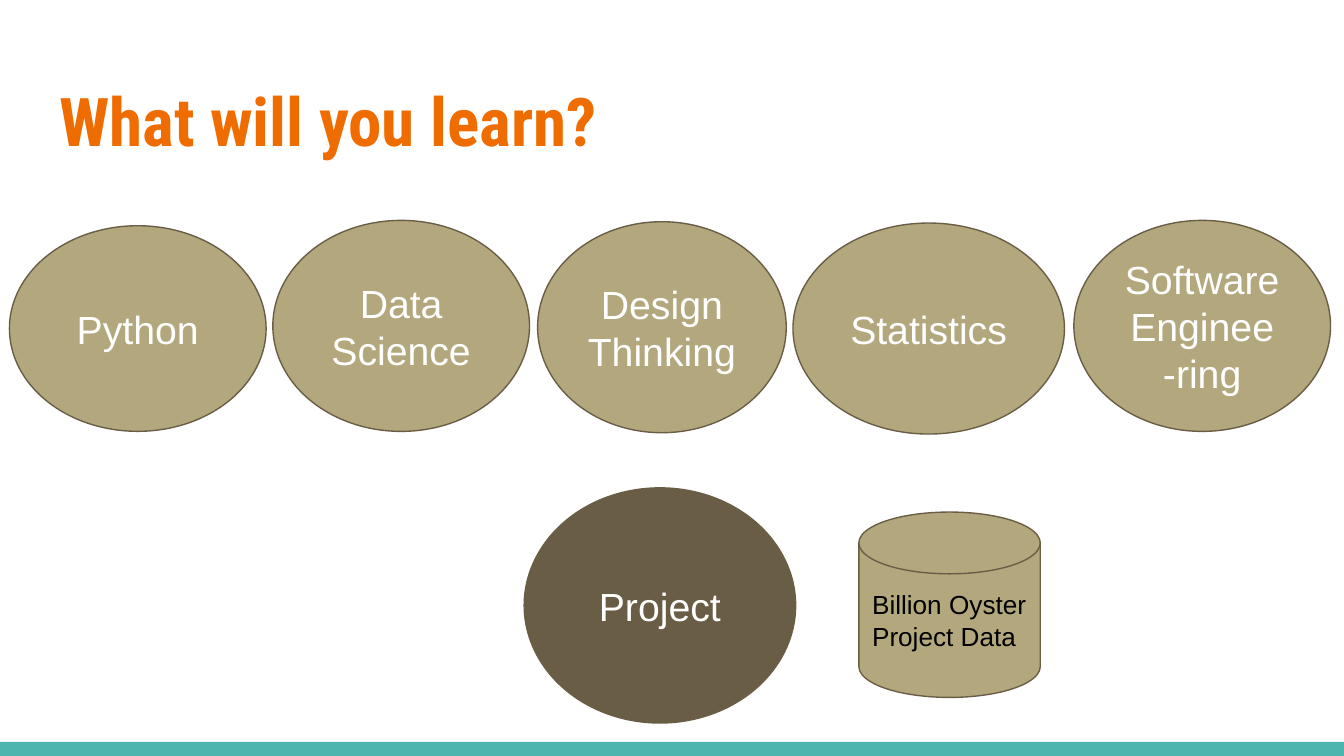
"""Build the "What will you learn?" slide: five topics, a project and its data."""
from pptx import Presentation
from pptx.dml.color import RGBColor
from pptx.enum import shapes, text
from pptx.util import Inches, Pt

ORANGE = RGBColor(0xEF, 0x6C, 0x00)
TEAL = RGBColor(0x4D, 0xB6, 0xAC)
SAND = RGBColor(0xB3, 0xA7, 0x7D)
BROWN = RGBColor(0x69, 0x5D, 0x46)
WHITE = RGBColor(0xFF, 0xFF, 0xFF)
BLACK = RGBColor(0, 0, 0)
KIND = shapes.MSO_SHAPE
ALIGN = text.PP_ALIGN
ANCHOR = text.MSO_ANCHOR


def write(shape, words, size=21, color=WHITE, font="Arial", bold=False,
          align=ALIGN.CENTER, anchor=ANCHOR.MIDDLE):
    frame = shape.text_frame
    frame.word_wrap = True
    frame.auto_size = text.MSO_AUTO_SIZE.NONE
    frame.vertical_anchor = anchor
    frame.margin_left = frame.margin_right = Inches(0.1)
    frame.margin_top = frame.margin_bottom = Inches(0.1)
    frame.text = words
    para = frame.paragraphs[0]
    para.alignment = align
    para.font.size = Pt(size)
    para.font.name = font
    para.font.bold = bold
    para.font.color.rgb = color


def draw(kind, box, fill, line=BROWN):
    shape = slide.shapes.add_shape(kind, *map(Inches, box))
    shape.shadow.inherit = False
    shape.fill.solid()
    shape.fill.fore_color.rgb = fill
    if line is None:
        shape.line.fill.background()
    else:
        shape.line.color.rgb = line
        shape.line.width = Pt(0.75)
    return shape


deck = Presentation()
deck.slide_width = Inches(10)
deck.slide_height = Inches(10 * 9 / 16)
slide = deck.slides.add_slide(deck.slide_layouts[5])

draw(KIND.RECTANGLE, (0, 5.52, 10, 0.11), TEAL, line=None)

title = slide.shapes.title
title.left, title.top = Inches(0.34), Inches(0.49)
title.width, title.height = Inches(9.32), Inches(0.77)
write(title, "What will you learn?", size=36, color=ORANGE, font="Roboto Condensed",
      bold=True, align=ALIGN.LEFT, anchor=ANCHOR.TOP)

topics = [
    ("Python", (0.07, 1.68, 1.91, 1.53), SAND),
    ("Data Science", (2.03, 1.64, 1.91, 1.57), SAND),
    ("Project", (3.9, 3.63, 2.02, 1.75), BROWN),
    ("Design Thinking", (4, 1.65, 1.85, 1.57), SAND),
    ("Statistics", (5.9, 1.66, 2.02, 1.57), SAND),
    ("Software Enginee-ring", (7.99, 1.64, 1.91, 1.57), SAND),
]
for name, box, fill in topics:
    write(draw(KIND.OVAL, box, fill), name)

data = draw(KIND.FLOWCHART_MAGNETIC_DISK, (6.39, 3.81, 1.35, 1.38), SAND)
write(data, "Billion Oyster Project Data", size=14, color=BLACK, align=ALIGN.LEFT)

deck.save("out.pptx")
